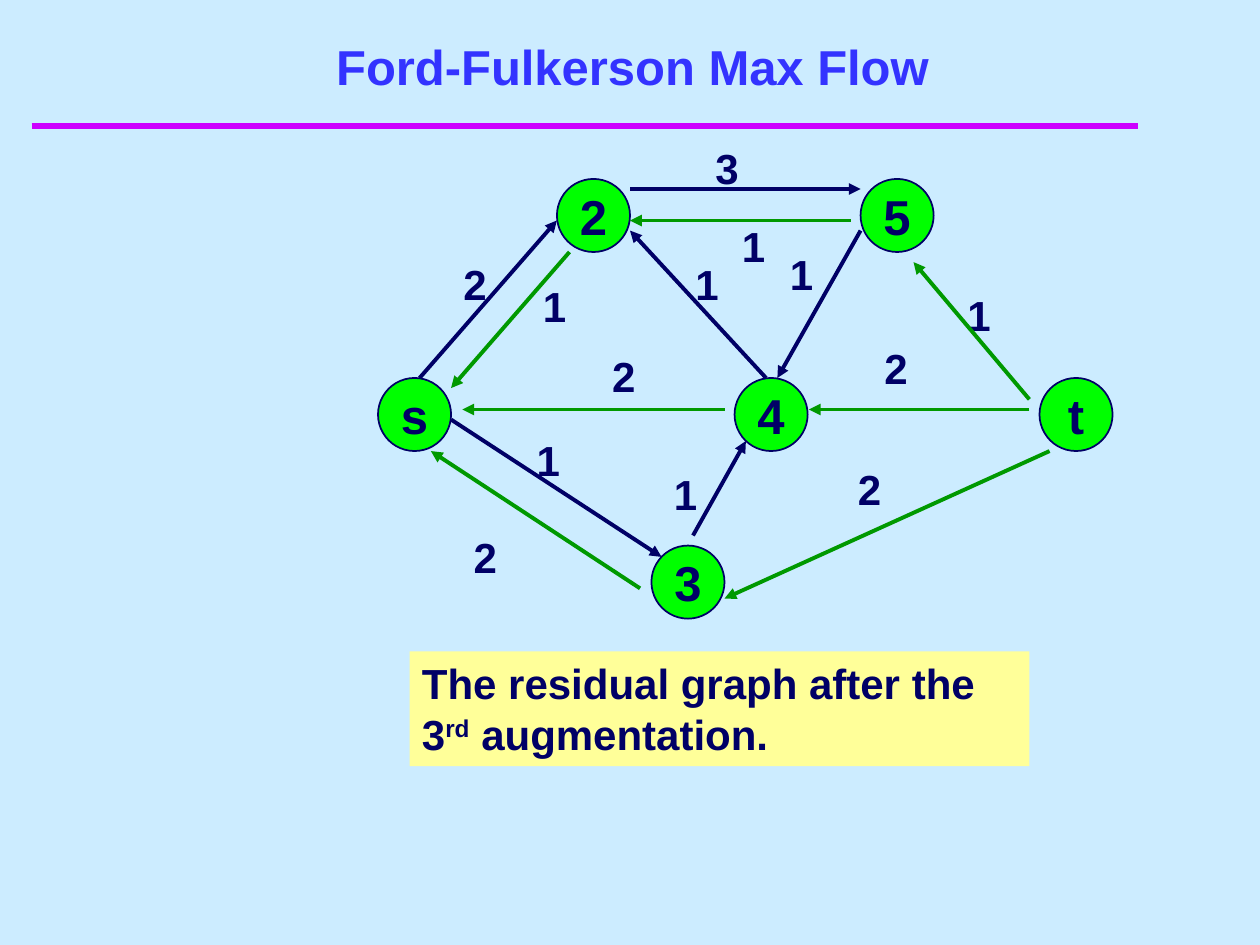
import pptx
import pptx.dml.color
import pptx.enum.shapes
import pptx.enum.text
import pptx.oxml.ns
import pptx.util
from lxml import etree
from pptx.util import Inches

COLORS = {
    "background": "CCECFF", "title": "3333FF", "rule": "CC00FF", "navy": "000066",
    "green": "009900", "node": "00FF00", "note": "FFFF99",
}
NODE_SIZE = 0.58
NODES = [("s", 3, 3), ("2", 4.42, 1.42), ("4", 5.83, 3),
         ("5", 6.83, 1.42), ("3", 5.17, 4.33), ("t", 8.25, 3)]
FORWARD_EDGES = [
    (3.58, 3.33, 5.25, 4.42), (3.33, 3, 4.42, 1.75), (6.08, 3, 5, 1.83),
    (5, 1.5, 6.83, 1.5), (6.83, 1.83, 6.17, 3), (5.5, 4.25, 5.92, 3.5),
]
BACKWARD_EDGES = [
    (5.08, 4.67, 3.42, 3.58), (4.52, 2, 3.58, 3.08), (5.75, 3.25, 3.67, 3.25),
    (6.75, 1.75, 5, 1.75), (8.33, 3.58, 5.75, 4.75), (8.17, 3.17, 7.25, 2.08),
    (8.17, 3.25, 6.42, 3.25),
]
CAPACITIES = [
    ("3", 5.58, 1.08), ("1", 7.58, 2.25), ("1", 6.17, 1.92), ("2", 6.92, 2.67),
    ("2", 6.71, 3.63), ("1", 5.25, 3.67), ("2", 4.76, 2.73), ("2", 3.58, 2),
    ("1", 4.16, 3.4), ("1", 5.42, 2), ("2", 3.66, 4.17), ("1", 4.21, 2.18),
    ("1", 5.79, 1.7),
]


def rgb(name):
    return pptx.dml.color.RGBColor.from_string(COLORS[name])


class GraphSlide:
    """Holds the style and the current slide, and draws each kind of element."""

    font = "Arial"
    align = pptx.enum.text.PP_ALIGN
    anchor = pptx.enum.text.MSO_ANCHOR
    shapes = pptx.enum.shapes.MSO_SHAPE

    def __init__(self, prs):
        self.s = prs.slides.add_slide(prs.slide_layouts[5])
        fill = self.s.background.fill
        fill.solid()
        fill.fore_color.rgb = rgb("background")

    def format_text(self, tf, size, color="navy", align=None, anchor=None, wrap=True):
        tf.word_wrap = wrap
        tf.vertical_anchor = anchor or self.anchor.TOP
        for p in tf.paragraphs:
            p.alignment = align or self.align.LEFT
            for r in p.runs:
                r.font.name = self.font
                r.font.size = pptx.util.Pt(size)
                r.font.bold = True
                r.font.color.rgb = rgb(color)

    def title(self, text, x, y, w, h):
        sp = self.s.shapes.title
        sp.left, sp.top, sp.width, sp.height = map(Inches, (x, y, w, h))
        sp.text_frame.text = text
        self.format_text(sp.text_frame, 28, "title", self.align.CENTER, self.anchor.BOTTOM)

    def line(self, x1, y1, x2, y2, color, width):
        c = self.s.shapes.add_connector(
            pptx.enum.shapes.MSO_CONNECTOR.STRAIGHT, *map(Inches, (x1, y1, x2, y2)))
        c.line.color.rgb = rgb(color)
        c.line.width = pptx.util.Pt(width)
        etree.SubElement(c._element.spPr, pptx.oxml.ns.qn("a:effectLst"))
        return c

    def arrow(self, x1, y1, x2, y2, color):
        c = self.line(x1, y1, x2, y2, color, 2.25)
        etree.SubElement(c.line._get_or_add_ln(), pptx.oxml.ns.qn("a:tailEnd"), type="triangle")

    def shape(self, kind, x, y, w, h, color):
        sp = self.s.shapes.add_shape(kind, *map(Inches, (x, y, w, h)))
        sp.shadow.inherit = False
        sp.fill.solid()
        sp.fill.fore_color.rgb = rgb(color)
        return sp

    def node(self, name, x, y):
        sp = self.shape(self.shapes.OVAL, x, y, NODE_SIZE, NODE_SIZE, "node")
        sp.line.color.rgb = rgb("navy")
        sp.line.width = pptx.util.Pt(1)
        sp.text_frame.text = name
        self.format_text(sp.text_frame, 28, align=self.align.CENTER,
                         anchor=self.anchor.MIDDLE, wrap=False)

    def capacity(self, text, x, y):
        sp = self.s.shapes.add_textbox(*map(Inches, (x, y, 0.59, 0.5)))
        sp.text_frame.text = text
        self.format_text(sp.text_frame, 24)

    def note(self, before, superscript, after, x, y, w, h):
        sp = self.shape(self.shapes.RECTANGLE, x, y, w, h, "note")
        sp.line.fill.background()
        p = sp.text_frame.paragraphs[0]
        for text in (before, superscript, after):
            p.add_run().text = text
        self.format_text(sp.text_frame, 24)
        p.runs[1].font._element.set("baseline", "30000")


def main():
    prs = pptx.Presentation()
    prs.slide_width, prs.slide_height = Inches(10), Inches(7.5)
    slide = GraphSlide(prs)
    slide.title("Ford-Fulkerson Max Flow", 0.35, 0, 9.34, 0.81)
    slide.line(0.25, 1, 9.03, 1, "rule", 4)
    for capacity in CAPACITIES:
        slide.capacity(*capacity)
    for node in NODES:
        slide.node(*node)
    for color, edges in (("navy", FORWARD_EDGES), ("green", BACKWARD_EDGES)):
        for edge in edges:
            slide.arrow(*edge, color)
    slide.note("The residual graph after the 3", "rd", " augmentation.", 3.25, 5.17, 4.92, 0.91)
    prs.save("out.pptx")


if __name__ == "__main__":
    main()
